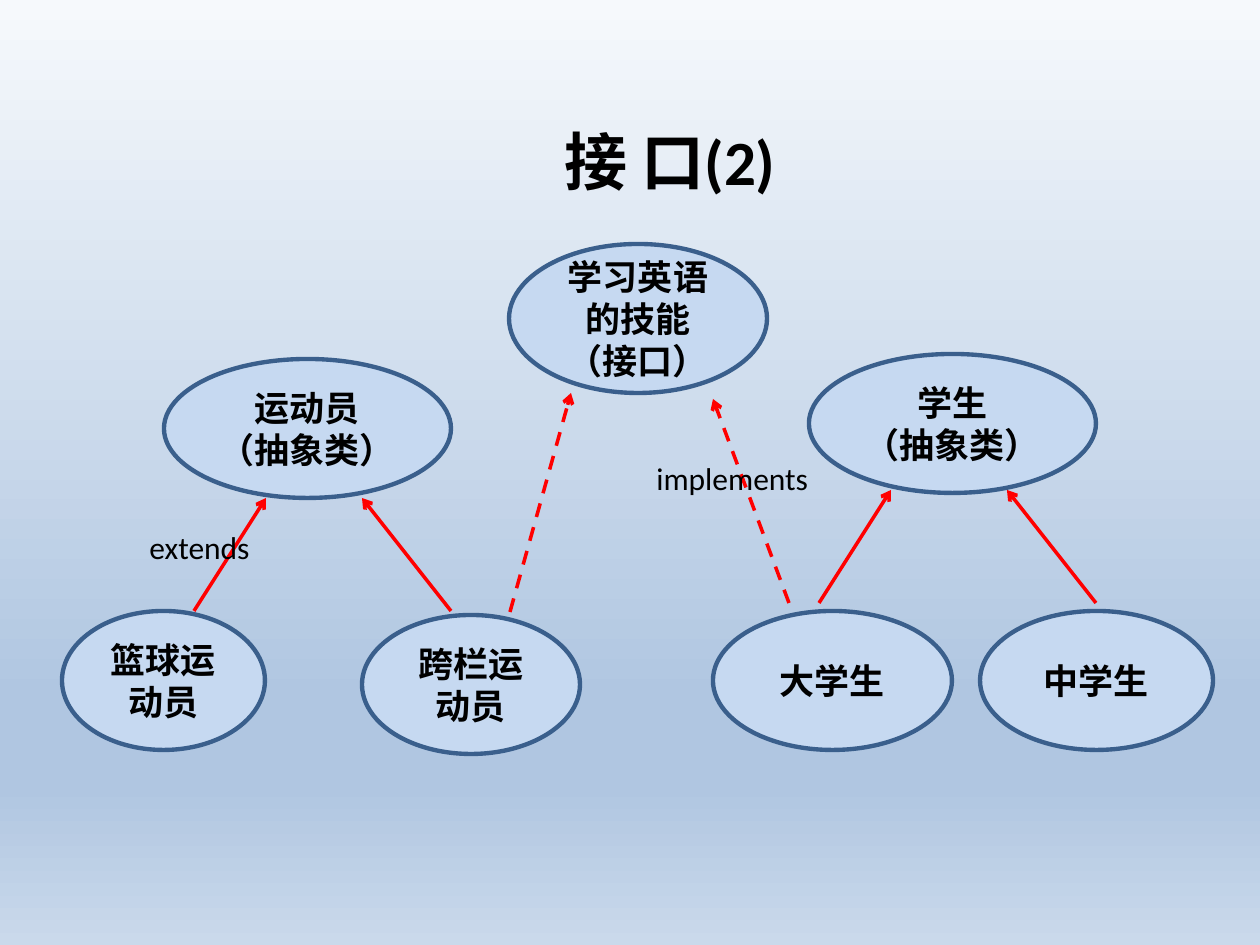
from copy import deepcopy

from pptx import Presentation
from pptx.dml.color import RGBColor
from pptx.enum.dml import MSO_LINE
from pptx.enum.shapes import MSO_CONNECTOR, MSO_SHAPE
from pptx.enum.text import MSO_ANCHOR, MSO_AUTO_SIZE, PP_ALIGN
from pptx.oxml.ns import qn
from pptx.util import Emu, Pt
from lxml.etree import SubElement

BLACK = RGBColor(0, 0, 0)
RED = RGBColor(0xFF, 0, 0)
PALE = RGBColor(0xC6, 0xD9, 0xF1)
NAVY = RGBColor(0x3A, 0x5F, 0x8C)
SKY = [
    (0, RGBColor(0xF6, 0xF9, 0xFC)),
    (0.74, RGBColor(0xB0, 0xC6, 0xE1)),
    (0.83, RGBColor(0xB0, 0xC6, 0xE1)),
    (1, RGBColor(0xCA, 0xD9, 0xEB)),
]
LATIN, HAN = "Calibri", "Noto Sans CJK SC"
OVAL_H = 139


def px(n):
    return Emu(round(n * 914400 / 126))


def write(shape, text, size=20, font=HAN, bold=True,
          align=PP_ALIGN.CENTER, anchor=MSO_ANCHOR.MIDDLE):
    frame = shape.text_frame
    frame.text = text
    frame.word_wrap = True
    frame.vertical_anchor = anchor
    for para in frame.paragraphs:
        para.alignment = align
        for run in para.runs:
            run.font.size = Pt(size)
            run.font.bold = bold
            run.font.name = font
            run.font.color.rgb = BLACK
            SubElement(run.font._element, qn("a:ea"), typeface=HAN)


def paint(slide):
    """Fill the background with the vertical gradient."""
    fill = slide.background.fill
    fill.gradient()
    fill.gradient_angle = 270
    stops = slide.background._cSld.find(".//" + qn("a:gsLst"))
    while len(stops) < len(SKY):
        stops.append(deepcopy(stops[0]))
    for stop, (place, color) in zip(fill.gradient_stops, SKY):
        stop.position = place
        stop.color.rgb = color


def title(slide, x, y, w, h):
    head = slide.shapes.title
    head.left, head.top, head.width, head.height = map(px, (x, y, w, h))
    write(head, "接 口(2)", size=36, font=LATIN)


def oval(slide, text, x, y, w, h=OVAL_H):
    shape = slide.shapes.add_shape(MSO_SHAPE.OVAL, *map(px, (x, y, w, h)))
    shape.shadow.inherit = False
    shape.fill.solid()
    shape.fill.fore_color.rgb = PALE
    shape.line.color.rgb = NAVY
    shape.line.width = Pt(2.5)
    write(shape, text)


def arrow(slide, x1, y1, x2, y2, dash=False):
    link = slide.shapes.add_connector(
        MSO_CONNECTOR.STRAIGHT, *map(px, (x1, y1, x2, y2)))
    link.line.color.rgb = RED
    link.line.width = Pt(2)
    if dash:
        link.line.dash_style = MSO_LINE.DASH
    props = link._element.spPr
    SubElement(props.find(qn("a:ln")), qn("a:tailEnd"), type="arrow")
    SubElement(props, qn("a:effectLst"))


def label(slide, text, x, y, w, h=50):
    box = slide.shapes.add_textbox(*map(px, (x, y, w, h)))
    write(box, text, size=18, font=LATIN, bold=False,
          align=PP_ALIGN.LEFT, anchor=MSO_ANCHOR.TOP)
    box.text_frame.auto_size = MSO_AUTO_SIZE.SHAPE_TO_FIT_TEXT


def family(slide, x, y, parent, kids, feet, tip):
    """Draw a parent class at x, y with its subclasses and arrows.

    Kids are (text, dx, dy, width); feet and tip are offsets from x, y.
    """
    oval(slide, parent, x, y, 287)
    for text, dx, dy, w in kids:
        oval(slide, text, x + dx, y + dy, w)
    for foot, head in zip(feet, (feet[0] + 72, feet[1] - 89)):
        arrow(slide, x + foot, y + tip + 113, x + head, y + tip)


def skill(slide, x, y):
    """Draw the interface at x, y with the dashed arrows to it."""
    arrow(slide, x + 280, y + 359, x + 204, y + 155, dash=True)
    arrow(slide, x + 1, y + 368, x + 62, y + 149, dash=True)
    oval(slide, "学习英语的技能\n（接口）", x, y, 258, 149)


def main():
    deck = Presentation()
    deck.slide_width, deck.slide_height = px(1260), px(945)
    slide = deck.slides.add_slide(deck.slide_layouts[5])
    paint(slide)
    title(slide, 360, 106, 620, 108)
    family(slide, 164, 359, "运动员\n（抽象类）",
           [("篮球运动员", -102, 252, 203), ("跨栏运动员", 198, 256, 218)],
           feet=(30, 287), tip=139)
    family(slide, 809, 354, "学生\n（抽象类）",
           [("大学生", -96, 257, 239), ("中学生", 171, 257, 233)],
           feet=(10, 287), tip=136)
    skill(slide, 509, 244)
    label(slide, "extends", 137, 522, 184)
    label(slide, "implements", 644, 453, 218)
    deck.save("out.pptx")


if __name__ == "__main__":
    main()
